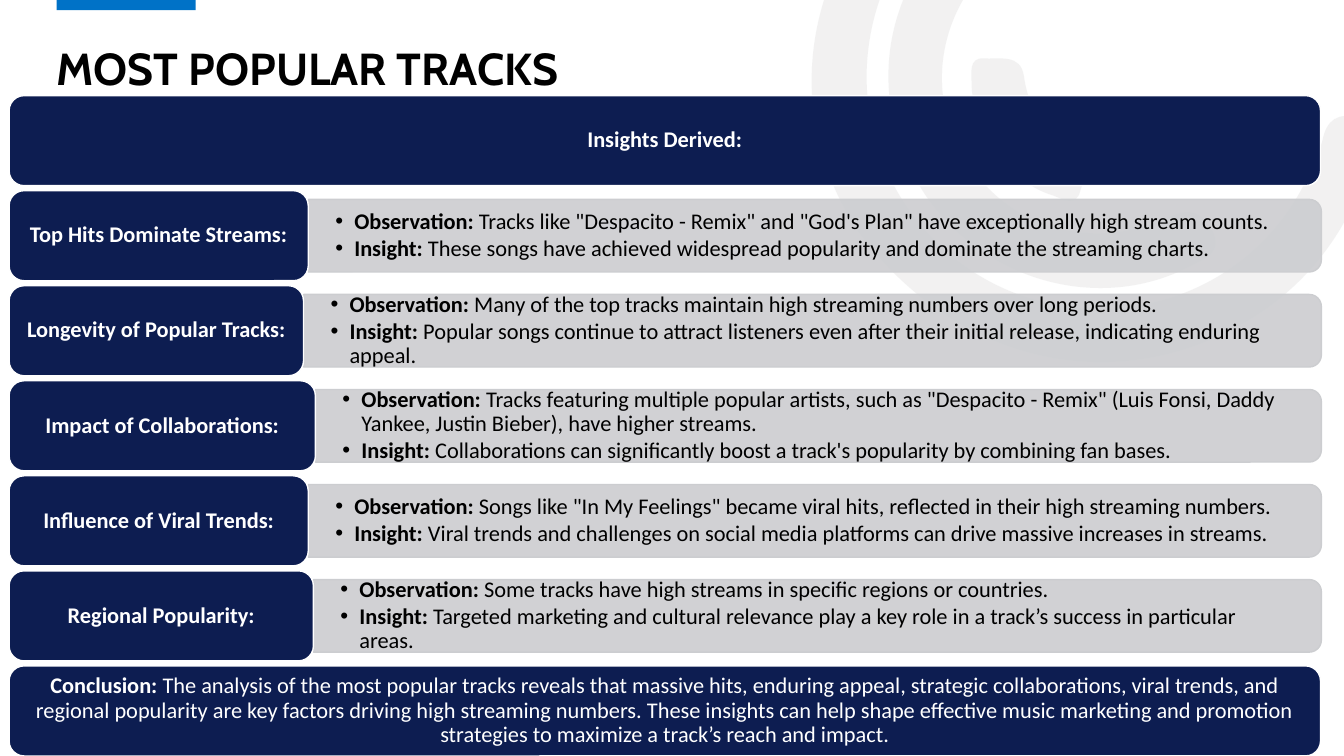
from lxml import etree
from pptx import Presentation
from pptx.dml.color import RGBColor
from pptx.enum.shapes import MSO_SHAPE as SHAPE
from pptx.enum.text import MSO_ANCHOR as ANCHOR, PP_ALIGN as ALIGN
from pptx.oxml.ns import qn
from pptx.util import Cm, Pt

NAVY = RGBColor(0x0D, 0x1D, 0x51)
BLUE = RGBColor(0x00, 0x72, 0xC7)
GREY = RGBColor(0xCC, 0xCD, 0xD0)
PALE = RGBColor(0xE7, 0xE6, 0xE6)
WHITE = RGBColor(0xFF, 0xFF, 0xFF)
BLACK = RGBColor(0x00, 0x00, 0x00)

LEFT, TOP, LAST_TOP = 0.23, 2.41, 16.78
ROW_H, BAR_H = 2.27, 1.83
BAR_RIGHT, BANNER_W = 33.3, 33.05
HANG = Cm(0.48)

# Each swirl: a start point, then Bézier segments of two controls and an end, in inches
SWIRLS = [
    [(8.51, 2.29),
     (7.99, 1.49), (7.87, 0.5), (8.38, -0.5), (8.9, -1.52), (9.76, -2.03), (10.9, -2.07),
     (11.05, -2.07), (11.21, -2.1), (11.31, -1.95), (11.44, -1.75), (11.27, -1.54), (10.98, -1.54),
     (9.67, -1.54), (8.65, -0.59), (8.6, 0.68), (8.56, 1.81), (9.36, 2.81), (10.46, 3.02),
     (11.6, 3.24), (12.7, 2.61), (13.07, 1.52), (13.09, 1.48), (13.11, 1.44), (13.12, 1.4),
     (13.16, 1.19), (13.27, 1.11), (13.49, 1.17), (13.73, 1.24), (13.67, 1.41), (13.61, 1.56),
     (13.34, 2.45), (12.78, 3.07), (11.91, 3.41), (10.7, 3.87), (9.36, 3.45), (8.51, 2.29)],
    [(9.22, 1.99),
     (8.62, 1.15), (8.69, 0.07), (9.4, -0.68), (9.51, -0.79), (9.62, -0.95), (9.8, -0.78),
     (9.95, -0.64), (9.97, -0.5), (9.79, -0.32), (9.25, 0.26), (9.2, 1.08), (9.65, 1.68),
     (10.08, 2.29), (10.88, 2.49), (11.61, 2.15), (11.82, 2.05), (11.93, 2.12), (12.03, 2.29),
     (12.13, 2.5), (11.97, 2.56), (11.83, 2.63), (10.96, 3.1), (9.83, 2.82), (9.22, 1.99)],
    [(9.87, 1.51),
     (9.75, 1.3), (9.64, 1.07), (9.64, 0.82), (9.64, 0.73), (9.61, 0.57), (9.76, 0.58),
     (9.92, 0.59), (10.13, 0.53), (10.16, 0.76), (10.21, 1.1), (10.36, 1.32), (10.67, 1.48),
     (10.88, 1.57), (10.76, 1.76), (10.72, 1.89), (10.68, 2.06), (10.55, 1.98), (10.45, 1.94),
     (10.21, 1.87), (10.03, 1.7), (9.87, 1.51)],
]

# Label, label width, observation, insight
ROWS = [
    ("Top Hits Dominate Streams:", 7.54,
     "Tracks like \"Despacito - Remix\" and \"God's Plan\" have exceptionally high stream counts.",
     "These songs have achieved widespread popularity and dominate the streaming charts."),
    ("Longevity of Popular Tracks:", 7.42,
     "Many of the top tracks maintain high streaming numbers over long periods.",
     "Popular songs continue to attract listeners even after their initial release, "
     "indicating enduring appeal."),
    ("Impact of Collaborations:", 7.72,
     "Tracks featuring multiple popular artists, such as \"Despacito - Remix\" "
     "(Luis Fonsi, Daddy Yankee, Justin Bieber), have higher streams.",
     "Collaborations can significantly boost a track's popularity by combining fan bases."),
    ("Influence of Viral Trends:", 7.54,
     "Songs like \"In My Feelings\" became viral hits, reflected in their high streaming numbers.",
     "Viral trends and challenges on social media platforms can drive massive increases in streams."),
    ("Regional Popularity:", 7.67,
     "Some tracks have high streams in specific regions or countries.",
     "Targeted marketing and cultural relevance play a key role in a track’s success "
     "in particular areas."),
]
PITCH = (LAST_TOP - TOP) / (len(ROWS) + 1)
CONCLUSION = (
    "The analysis of the most popular tracks reveals that massive hits, enduring appeal, "
    "strategic collaborations, viral trends, and regional popularity are key factors driving "
    "high streaming numbers. These insights can help shape effective music marketing and "
    "promotion strategies to maximize a track’s reach and impact.")


def paint(sp, color, opacity=100, line=None):
    sp.shadow.inherit = False
    sp.fill.solid()
    sp.fill.fore_color.rgb = color
    if opacity < 100:
        clr = sp.fill._xPr.find(qn("a:solidFill"))[0]
        etree.SubElement(clr, qn("a:alpha"), val=str(opacity * 1000))
    if line is None:
        sp.line.fill.background()
    else:
        sp.line.color.rgb = line
        sp.line.width = Pt(1)


def set_frame(tf, anchor, side, edge):
    tf.word_wrap = True
    tf.vertical_anchor = anchor
    tf.margin_left = tf.margin_right = Cm(side)
    tf.margin_top = tf.margin_bottom = Cm(edge)


def add_run(p, text, color, bold, size=16, font="Calibri"):
    r = p.add_run()
    r.text = text
    r.font.name, r.font.size, r.font.bold = font, Pt(size), bold
    r.font.color.rgb = color


def add_lead_and_body(p, lead, body, color):
    p.line_spacing = 0.9
    add_run(p, lead, color, True)
    if body:
        add_run(p, " " + body, color, False)


def add_swirl(s, points):
    """Build the outline point by point, then join every three points into one curve."""
    inch = Cm(2.54)
    start, *rest = [(inch * x, inch * y) for x, y in points]
    fb = s.shapes.build_freeform(*start)
    fb.add_line_segments(rest, close=True)
    sp = fb.convert_to_shape()
    lines = list(sp._element.iter(qn("a:lnTo")))
    for i in range(0, len(lines), 3):
        curve = etree.Element(qn("a:cubicBezTo"))
        lines[i].addprevious(curve)
        for line in lines[i:i + 3]:
            curve.append(line[0])
            line.getparent().remove(line)
    paint(sp, PALE, 53)


def add_title(s, x, y, w, h):
    title = s.shapes.title
    title.left, title.top, title.width, title.height = Cm(x), Cm(y), Cm(w), Cm(h)
    set_frame(title.text_frame, ANCHOR.BOTTOM, 0, 0)
    p = title.text_frame.paragraphs[0]
    p.alignment = ALIGN.LEFT
    p.line_spacing = 0.9
    add_run(p, "MOST POPULAR TRACKS", BLACK, True, 32, "Cabin")


def add_panel(s, x, y, w, lead, body=""):
    sp = s.shapes.add_shape(SHAPE.ROUNDED_RECTANGLE, Cm(x), Cm(y), Cm(w), Cm(ROW_H))
    paint(sp, NAVY, line=WHITE)
    set_frame(sp.text_frame, ANCHOR.MIDDLE, 0.18, 0.08)
    p = sp.text_frame.paragraphs[0]
    p.alignment = ALIGN.CENTER
    add_lead_and_body(p, lead, body, WHITE)


def add_findings(s, x, y, w, observation, insight):
    """Fill the row box with a bar rounded on its right and two bullets over it."""
    mid_x, mid_y = x + w / 2, y + ROW_H / 2
    bar = s.shapes.add_shape(SHAPE.ROUND_2_SAME_RECTANGLE, Cm(mid_x - BAR_H / 2),
                             Cm(mid_y - w / 2), Cm(BAR_H), Cm(w))
    bar.rotation = 90
    paint(bar, GREY, 90, GREY)

    text_h = 1.65
    box = s.shapes.add_textbox(Cm(x), Cm(mid_y - text_h / 2), Cm(w - 0.09), Cm(text_h))
    tf = box.text_frame
    set_frame(tf, ANCHOR.MIDDLE, 0.68, 0.36)
    for i, (lead, body) in enumerate([("Observation:", observation), ("Insight:", insight)]):
        p = tf.add_paragraph() if i else tf.paragraphs[0]
        pPr = p._p.get_or_add_pPr()
        pPr.set("marL", str(HANG))
        pPr.set("indent", str(-HANG))
        etree.SubElement(pPr, qn("a:buFont"), typeface="Arial")
        etree.SubElement(pPr, qn("a:buChar"), char="•")
        p.space_after = Pt(2.4)
        add_lead_and_body(p, lead, body, BLACK)


def main():
    prs = Presentation()
    prs.slide_width, prs.slide_height = Cm(33.87), Cm(19.05)
    s = prs.slides.add_slide(prs.slide_layouts[5])
    for points in SWIRLS:
        add_swirl(s, points)
    accent = s.shapes.add_shape(SHAPE.RECTANGLE, Cm(1.43), Cm(-0.04), Cm(3.5), Cm(0.3))
    paint(accent, BLUE)
    add_title(s, 1.43, 0.69, 30.96, 1.7)

    add_panel(s, LEFT, TOP, BANNER_W, "Insights Derived:")
    for i, (label, width, observation, insight) in enumerate(ROWS, 1):
        y = TOP + i * PITCH
        x = LEFT + width
        add_findings(s, x, y, BAR_RIGHT - x, observation, insight)
        add_panel(s, LEFT, y, width, label)
    add_panel(s, LEFT, LAST_TOP, BANNER_W, "Conclusion:", CONCLUSION)
    prs.save("out.pptx")


if __name__ == "__main__":
    main()
